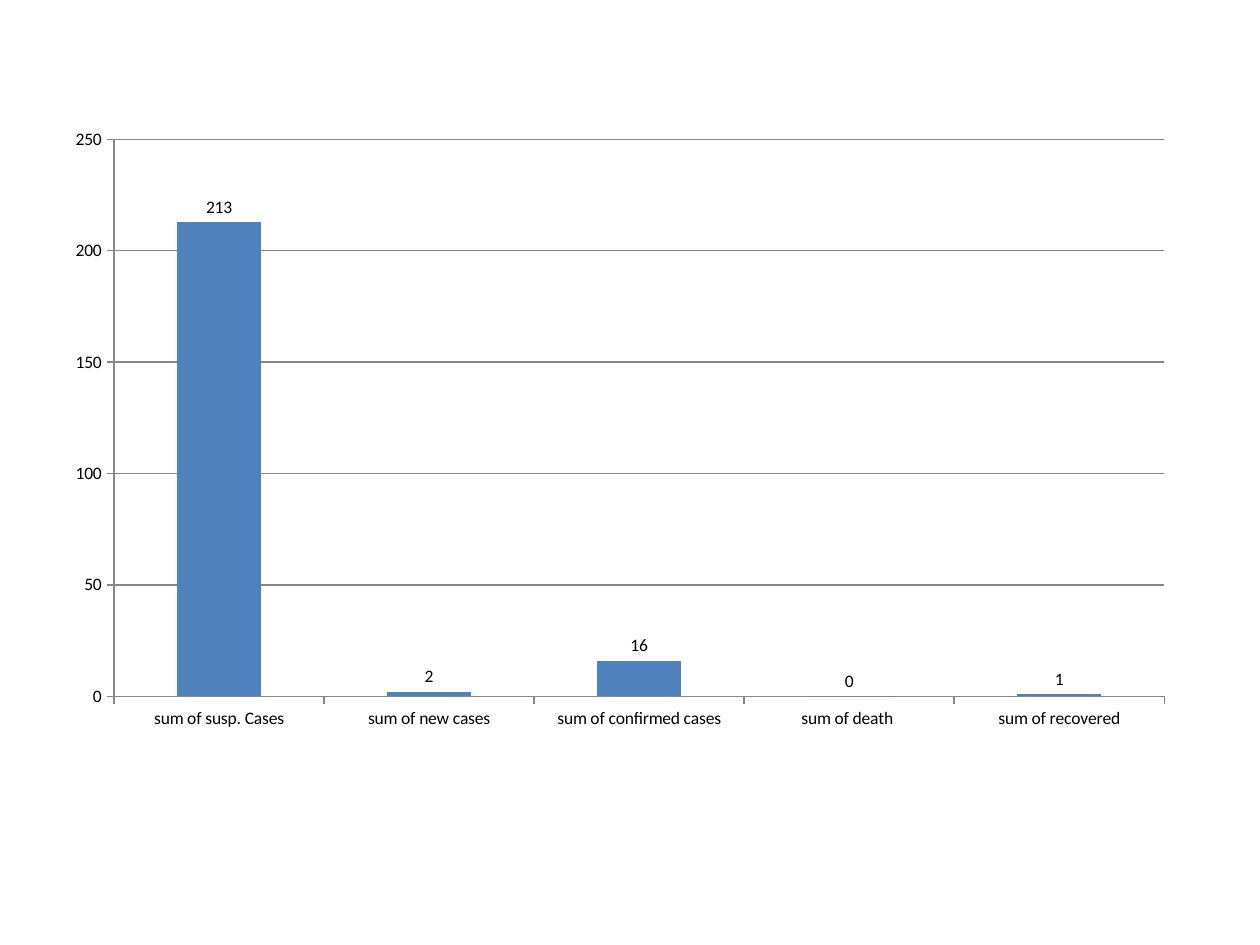
import pptx
import pptx.util
import pptx.dml.color
import pptx.chart.data
import pptx.enum.chart as enums

WIDE, HIGH = pptx.util.Inches(10), pptx.util.Inches(7.5)
CASES = {
    "sum of susp. Cases": 213,
    "sum of new cases": 2,
    "sum of confirmed cases": 16,
    "sum of death ": 0,
    "sum of recovered": 1,
}


def color(code):
    """Turn a hex string into a colour."""
    return pptx.dml.color.RGBColor.from_string(code)


def rule(line):
    """Draw a thin grey line."""
    line.color.rgb = color("868686")
    line.width = pptx.util.Pt(0.75)


def draw_chart(slide, left, top, width, height):
    """Place the column chart of case counts in the given box."""
    data = pptx.chart.data.CategoryChartData(number_format="General")
    data.categories = list(CASES)
    data.add_series("Series 1", list(CASES.values()))
    kind = enums.XL_CHART_TYPE.COLUMN_CLUSTERED
    chart = slide.shapes.add_chart(kind, left, top, width, height, data).chart
    chart.has_title = False
    chart.has_legend = False
    chart.font.name = "Calibri"
    chart.font.size = pptx.util.Pt(10)
    chart.font.color.rgb = color("000000")

    for axis in (chart.category_axis, chart.value_axis):
        axis.major_tick_mark = enums.XL_TICK_MARK.OUTSIDE
        axis.minor_tick_mark = enums.XL_TICK_MARK.NONE
        rule(axis.format.line)
    scale = chart.value_axis
    scale.minimum_scale, scale.maximum_scale, scale.major_unit = 0, 250, 50
    scale.has_major_gridlines = True
    rule(scale.major_gridlines.format.line)

    plot = chart.plots[0]
    plot.gap_width = 150
    plot.vary_by_categories = False
    plot.has_data_labels = True
    plot.data_labels.show_value = True
    plot.data_labels.position = enums.XL_LABEL_POSITION.OUTSIDE_END
    fill = plot.series[0].format.fill
    fill.solid()
    fill.fore_color.rgb = color("4F81BD")


def main():
    """Build the slide and save it."""
    deck = pptx.Presentation()
    deck.slide_width, deck.slide_height = WIDE, HIGH
    slide = deck.slides.add_slide(deck.slide_layouts[6])
    draw_chart(slide, int(WIDE * 0.042), int(HIGH * 0.124),
               int(WIDE * 0.9), int(HIGH * 0.66))
    deck.save("out.pptx")


if __name__ == "__main__":
    main()
